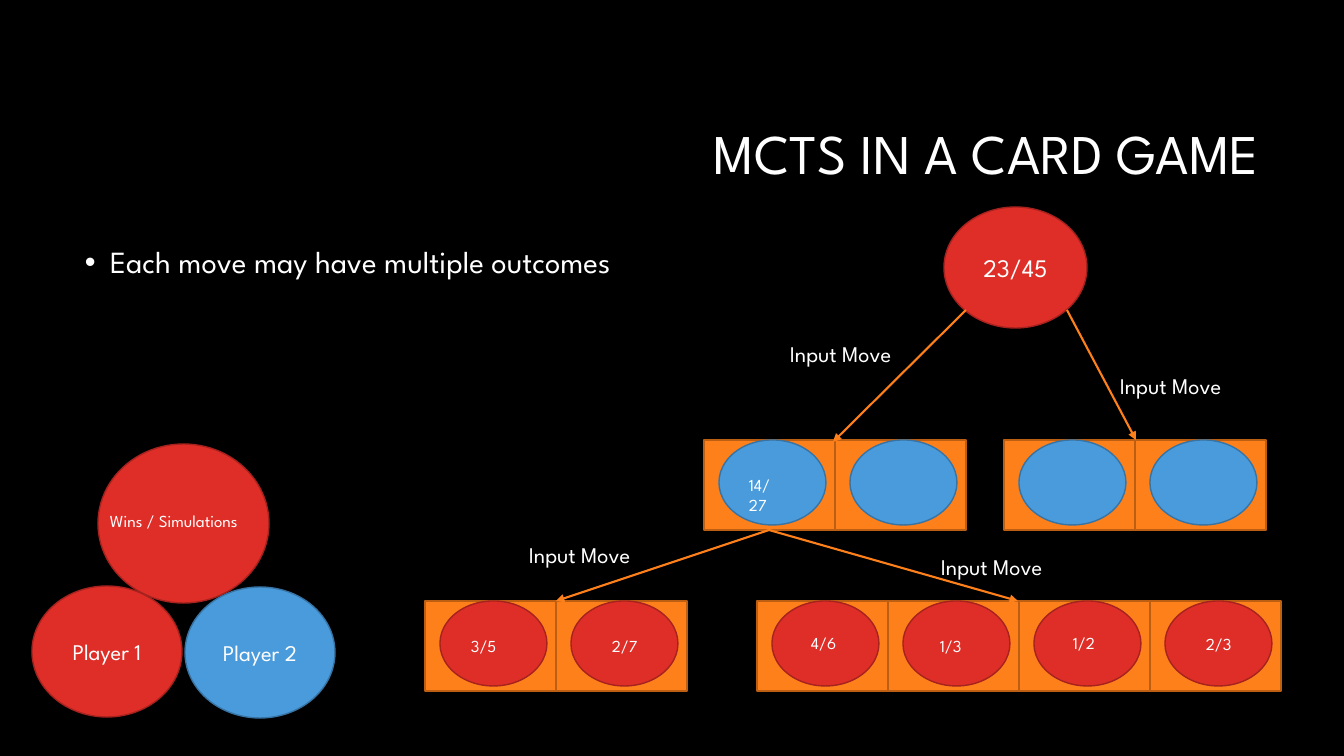
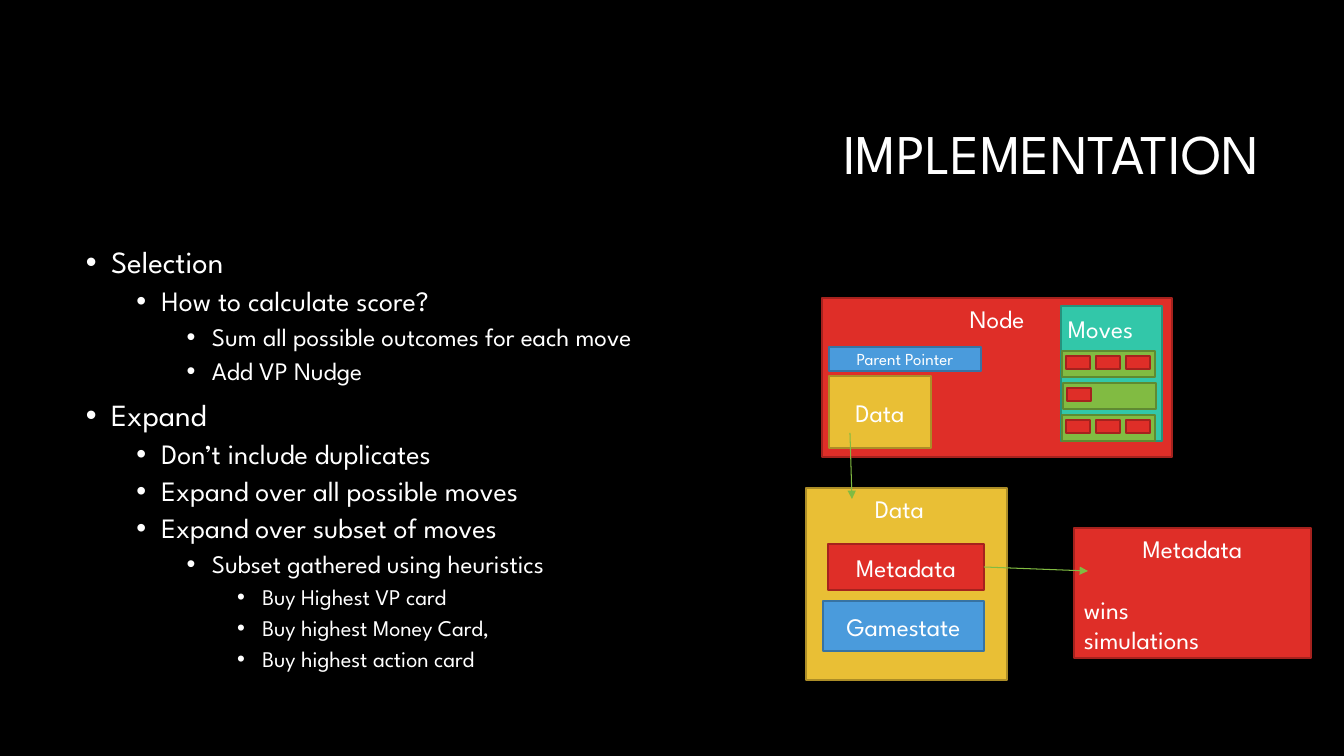
import pptx
import pptx.util
import pptx.dml.color
import pptx.enum.shapes
import pptx.enum.text
import pptx.oxml.ns
from lxml import etree

PX = 12192000 // 1344 + 1 / 2.4  # EMU in one px
FONT = "League Spartan"
COLORS = {
    "background": "000000", "text": "FFFFFF",
    "red": "DF2E28", "red edge": "A5221E",
    "blue": "4A9BDC", "blue edge": "3773A3",
    "orange": "FE801A", "orange edge": "BC5F13",
    "teal": "32C7A9", "teal edge": "25937D",
    "yellow": "E9BF35", "yellow edge": "AC8D27",
    "green": "81BB42", "green edge": "5F8A31",
}
BODY_SIZES = [22, 20, 18, 16]  # one per outline level
CELL_W, CELL_H = 131, 90

SHAPE = pptx.enum.shapes.MSO_SHAPE
ALIGN = pptx.enum.text.PP_ALIGN
ANCHOR = pptx.enum.text.MSO_ANCHOR


def px(*lengths):
    return [pptx.util.Emu(round(length * PX)) for length in lengths]


def color(name):
    return pptx.dml.color.RGBColor.from_string(COLORS[name])


def sub(parent, tag, **attributes):
    return etree.SubElement(parent, pptx.oxml.ns.qn(tag), attributes)


def style(paragraph, size, align=ALIGN.LEFT):
    paragraph.alignment = align
    paragraph.font.size = pptx.util.Pt(size)
    paragraph.font.name = FONT
    paragraph.font.color.rgb = color("text")


# Kinds of element
def add_title_slide(deck, title):
    slide = deck.slides.add_slide(deck.slide_layouts[6])
    slide.background.fill.solid()
    slide.background.fill.fore_color.rgb = color("background")
    frame = slide.shapes.add_textbox(*px(320, 85, 949, 142)).text_frame
    frame.word_wrap = True
    frame.vertical_anchor = ANCHOR.MIDDLE
    heading = frame.paragraphs[0]
    heading.text = title
    heading.line_spacing = 0.9
    style(heading, 40, ALIGN.RIGHT)
    return slide


def add_outline(slide, left, width, items):
    frame = slide.shapes.add_textbox(*px(left, 242, width, 444)).text_frame
    frame.word_wrap = True
    for index, (level, text) in enumerate(items):
        point = frame.paragraphs[0] if index == 0 else frame.add_paragraph()
        point.text = text
        point.level = level
        point.line_spacing = 0.9
        if index:
            point.space_before = pptx.util.Pt(5 if level else 10)
        props = point._p.get_or_add_pPr()
        props.set("marL", str(pptx.util.Inches(0.25 + 0.5 * level)))
        props.set("indent", str(pptx.util.Inches(-0.25)))
        sub(props, "a:buFont", typeface="Arial")
        sub(props, "a:buChar", char="•")
        style(point, BODY_SIZES[level])


def add_block(slide, kind, box, hue, text="", size=18, anchor=ANCHOR.MIDDLE):
    block = slide.shapes.add_shape(kind, *px(*box))
    block.shadow.inherit = False
    block.fill.solid()
    block.fill.fore_color.rgb = color(hue)
    block.line.color.rgb = color(hue + " edge")
    block.line.width = pptx.util.Pt(1)
    if text:
        block.text_frame.text = text
        block.text_frame.vertical_anchor = anchor
        style(block.text_frame.paragraphs[0], size, ALIGN.CENTER)
    return block


def add_label(slide, box, text, size):
    frame = slide.shapes.add_textbox(*px(*box)).text_frame
    frame.word_wrap = False
    frame.auto_size = pptx.enum.text.MSO_AUTO_SIZE.SHAPE_TO_FIT_TEXT
    frame.text = text
    style(frame.paragraphs[0], size)


def add_arrow(slide, start, end, hue, width):
    arrow = slide.shapes.add_connector(
        pptx.enum.shapes.MSO_CONNECTOR.STRAIGHT, *px(*start, *end))
    arrow.line.color.rgb = color(hue)
    arrow.line.width = pptx.util.Pt(width)
    sub(arrow.line._get_or_add_ln(), "a:tailEnd", type="triangle")
    sub(arrow._element.spPr, "a:effectLst")


def add_outcomes(slide, left, top, hue, scores):
    """A row of cells; each score is (text, x offset, y offset) or None."""
    for index, score in enumerate(scores):
        x = left + index * CELL_W
        add_block(slide, SHAPE.RECTANGLE, (x, top, CELL_W, CELL_H), "orange")
        add_block(slide, SHAPE.OVAL, (x + 15, top, 107, 85), hue)
        if score:
            text, dx, dy = score
            add_label(slide, (x + dx, top + dy, 46, 30), text, 12)


def add_move_list(slide, left, top, moves):
    add_block(slide, SHAPE.RECTANGLE, (left, top, 93, 26), "green")
    for index in range(moves):
        add_block(slide, SHAPE.RECTANGLE,
                  (left + 4 + 30 * index, top + 5, 24, 13), "red")


# Slides
def card_game_slide(deck):
    slide = add_title_slide(deck, "MCTS IN A CARD GAME")
    add_outline(slide, 75, 641, [(0, "Each move may have multiple outcomes")])

    # Search tree
    add_block(slide, SHAPE.OVAL, (944, 207, 143, 121), "red", "23/45")
    add_outcomes(slide, 704, 440, "blue", [("14/27", 35, 30), None])
    add_outcomes(slide, 1004, 440, "blue", [None, None])
    add_outcomes(slide, 425, 601, "red", [("3/5", 36, 30), ("2/7", 46, 30)])
    add_outcomes(slide, 757, 601, "red", [
        ("4/6", 44, 27), ("1/3", 42, 30), ("1/2", 44, 27), ("2/3", 46, 28)])
    for start, end in [((966, 310), (833, 442)), ((1067, 310), (1136, 440)),
                       ((769, 530), (556, 601)), ((769, 530), (1018, 601))]:
        add_arrow(slide, start, end, "orange", 1.5)
    for left, top in [(780, 335), (1110, 367), (519, 536), (931, 548)]:
        add_label(slide, (left, top, 145, 37), "Input Move", 16)

    # Legend
    add_block(slide, SHAPE.OVAL, (98, 444, 171, 159), "red")
    add_label(slide, (100, 506, 164, 30), "Wins / Simulations", 12)
    add_block(slide, SHAPE.OVAL, (32, 586, 150, 131), "red", "Player 1", 16)
    add_block(slide, SHAPE.OVAL, (185, 587, 150, 131), "blue", "Player 2", 16)


def implementation_slide(deck):
    slide = add_title_slide(deck, "IMPLEMENTATION")
    add_outline(slide, 76, 1192, [
        (0, "Selection"),
        (1, "How to calculate score?"),
        (2, "Sum all possible outcomes for each move"),
        (2, "Add VP Nudge"),
        (0, "Expand"),
        (1, "Don’t include duplicates"),
        (1, "Expand over all possible moves"),
        (1, "Expand over subset of moves"),
        (2, "Subset gathered using heuristics"),
        (3, "Buy Highest VP card"),
        (3, "Buy highest Money Card,"),
        (3, "Buy highest action card"),
    ])
    box = SHAPE.RECTANGLE

    # Node with its moves
    add_block(slide, box, (822, 298, 350, 159), "red", "Node", anchor=ANCHOR.TOP)
    add_block(slide, box, (1061, 306, 101, 135), "teal")
    add_block(slide, box, (829, 376, 102, 72), "yellow", "Data")
    for index, (left, moves) in enumerate([(1062, 3), (1063, 1), (1062, 3)]):
        add_move_list(slide, left, 351 + 32 * index, moves)
    add_label(slide, (1058, 308, 101, 40), "Moves", 18)
    add_block(slide, box, (829, 347, 152, 24), "blue", "Parent Pointer", 12)

    # Data
    add_block(slide, box, (806, 488, 201, 192), "yellow")
    add_label(slide, (865, 488, 83, 40), "Data", 18)
    add_block(slide, box, (828, 544, 156, 46), "red", "Metadata")
    add_block(slide, box, (823, 601, 161, 50), "blue", "Gamestate")
    add_arrow(slide, (850, 433), (852, 499), "green", 0.75)

    # Metadata
    metadata = add_block(slide, box, (1074, 528, 237, 130), "red", "Metadata",
                         anchor=ANCHOR.TOP)
    for index, field in enumerate(["wins", "simulations"]):
        entry = metadata.text_frame.add_paragraph()
        entry.text = field
        if index == 0:
            entry.space_before = pptx.util.Pt(22)
        style(entry, 18)
    add_arrow(slide, (984, 567), (1088, 571), "green", 0.75)


def main():
    deck = pptx.Presentation()
    deck.slide_width, deck.slide_height = px(1344, 756)
    card_game_slide(deck)
    implementation_slide(deck)
    deck.save("out.pptx")


if __name__ == "__main__":
    main()
